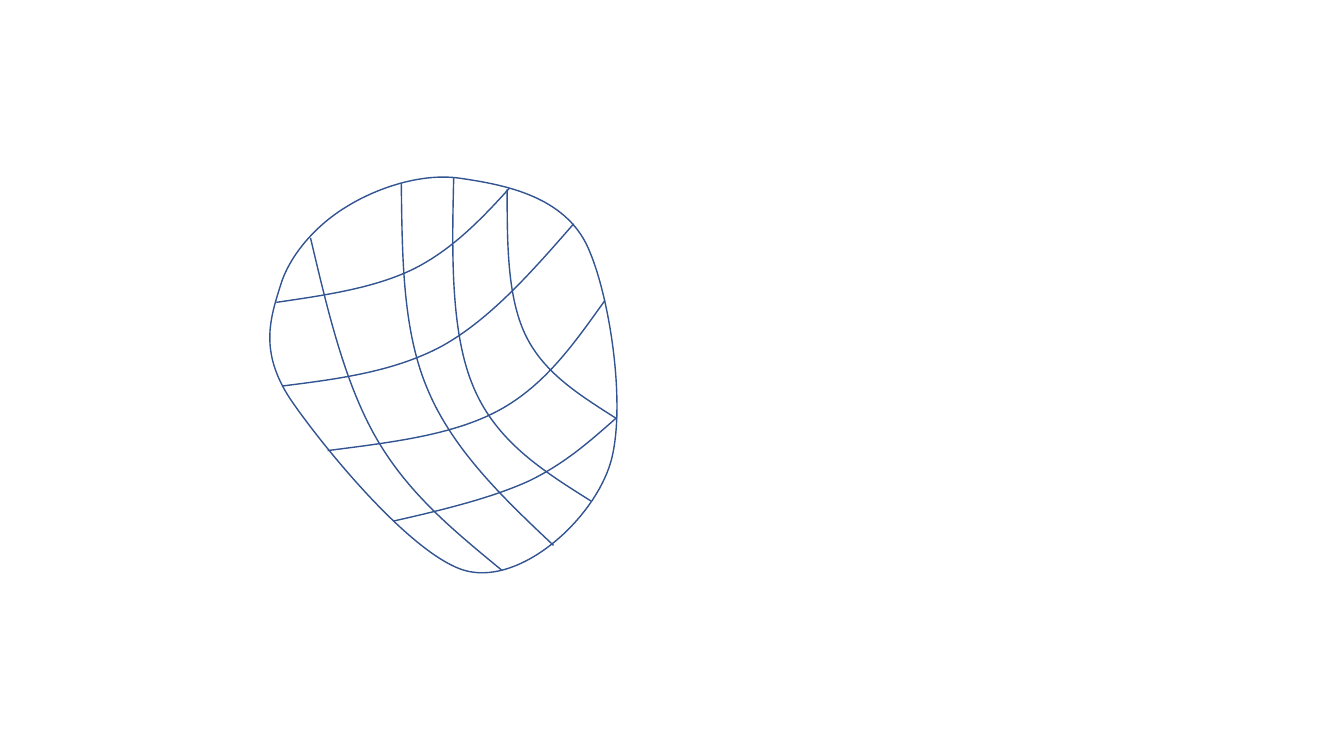
"""Builds a slide with a curved patch covered by a grid of curves."""
from pptx import Presentation
from pptx.dml.color import RGBColor
from pptx.oxml import parse_xml
from pptx.oxml.ns import nsdecls
from pptx.util import Inches, Pt

LINE = "325491"
STEPS = 40

OUTLINE = [
    (4.57, 1.77), (4.97, 1.83), (5.56, 1.93), (5.81, 2.41),
    (6.05, 2.89), (6.23, 4.1), (6.04, 4.64),
    (5.85, 5.18), (5.18, 5.78), (4.65, 5.67),
    (4.12, 5.56), (3.2, 4.43), (2.88, 3.96),
    (2.57, 3.49), (2.68, 3.16), (2.78, 2.84),
    (2.87, 2.53), (3.14, 2.23), (3.44, 2.05),
    (3.73, 1.87), (4.18, 1.71), (4.57, 1.77),
]
ACROSS = [
    [(2.74, 3), (3.22, 2.93), (3.71, 2.86), (4.1, 2.67),
     (4.48, 2.48), (4.77, 2.18), (5.05, 1.87)],
    [(2.8, 3.83), (3.35, 3.76), (3.91, 3.69), (4.39, 3.43),
     (4.87, 3.16), (5.28, 2.69), (5.69, 2.22)],
    [(3.25, 4.47), (3.87, 4.39), (4.49, 4.32), (4.95, 4.07),
     (5.41, 3.82), (5.7, 3.4), (6, 2.98)],
    [(3.9, 5.17), (4.39, 5.06), (4.88, 4.94), (5.25, 4.77),
     (5.62, 4.59), (5.87, 4.36), (6.12, 4.14)],
]
DOWN = [
    [(5.03, 1.88), (5.03, 2.41), (5.03, 2.94), (5.21, 3.32),
     (5.39, 3.7), (5.75, 3.92), (6.11, 4.15)],
    [(3.98, 1.82), (3.99, 2.54), (3.99, 3.27), (4.24, 3.86),
     (4.49, 4.46), (4.99, 4.94), (5.49, 5.41)],
    [(3.08, 2.36), (3.25, 3.08), (3.42, 3.81), (3.74, 4.36),
     (4.06, 4.91), (4.52, 5.28), (4.98, 5.66)],
    [(4.5, 1.76), (4.48, 2.54), (4.47, 3.32), (4.7, 3.85),
     (4.93, 4.39), (5.4, 4.68), (5.86, 4.97)],
]


def color(value):
    """Return the colour for a hex string."""
    return RGBColor.from_string(value)


def bezier(a, b, c, d, t):
    """Return the point at t on a cubic curve."""
    u = 1 - t
    return tuple(
        round(u**3 * i + 3 * u * u * t * j + 3 * u * t * t * k + t**3 * m)
        for i, j, k, m in zip(a, b, c, d)
    )


def add_curve(shapes, points, closed=False):
    """Add an unfilled cubic curve, sized to its true extent."""
    pts = [(Inches(x), Inches(y)) for x, y in points]
    samples = [
        bezier(*pts[i:i + 4], n / STEPS)
        for i in range(0, len(pts) - 1, 3)
        for n in range(1, STEPS + 1)
    ]
    builder = shapes.build_freeform(*pts[0], scale=1.0)
    builder.add_line_segments(samples, close=closed)
    sp = builder.convert_to_shape()
    local = [(x - sp.left, y - sp.top) for x, y in pts]
    outline = sp._element.xpath(".//a:path")[0]
    segments = outline.xpath("a:lnTo")
    for i in range(1, len(local), 3):
        marks = "".join(f'<a:pt x="{x}" y="{y}"/>' for x, y in local[i:i + 3])
        segments[0].addprevious(
            parse_xml(f'<a:cubicBezTo {nsdecls("a")}>{marks}</a:cubicBezTo>'))
    for segment in segments:
        outline.remove(segment)
    sp.shadow.inherit = False
    sp.fill.background()
    sp.line.color.rgb = color(LINE)
    sp.line.width = Pt(1)
    return sp


def main():
    """Build and save the slide."""
    prs = Presentation()
    for name, value in {"slide_width": 13.33, "slide_height": 7.5}.items():
        setattr(prs, name, Inches(value))
    slide = prs.slides.add_slide(prs.slide_layouts[6])
    patch = slide.shapes.add_group_shape()
    add_curve(patch.shapes, OUTLINE, closed=True)
    for points in ACROSS + DOWN:
        add_curve(patch.shapes, points)
    prs.save("out.pptx")


main()
